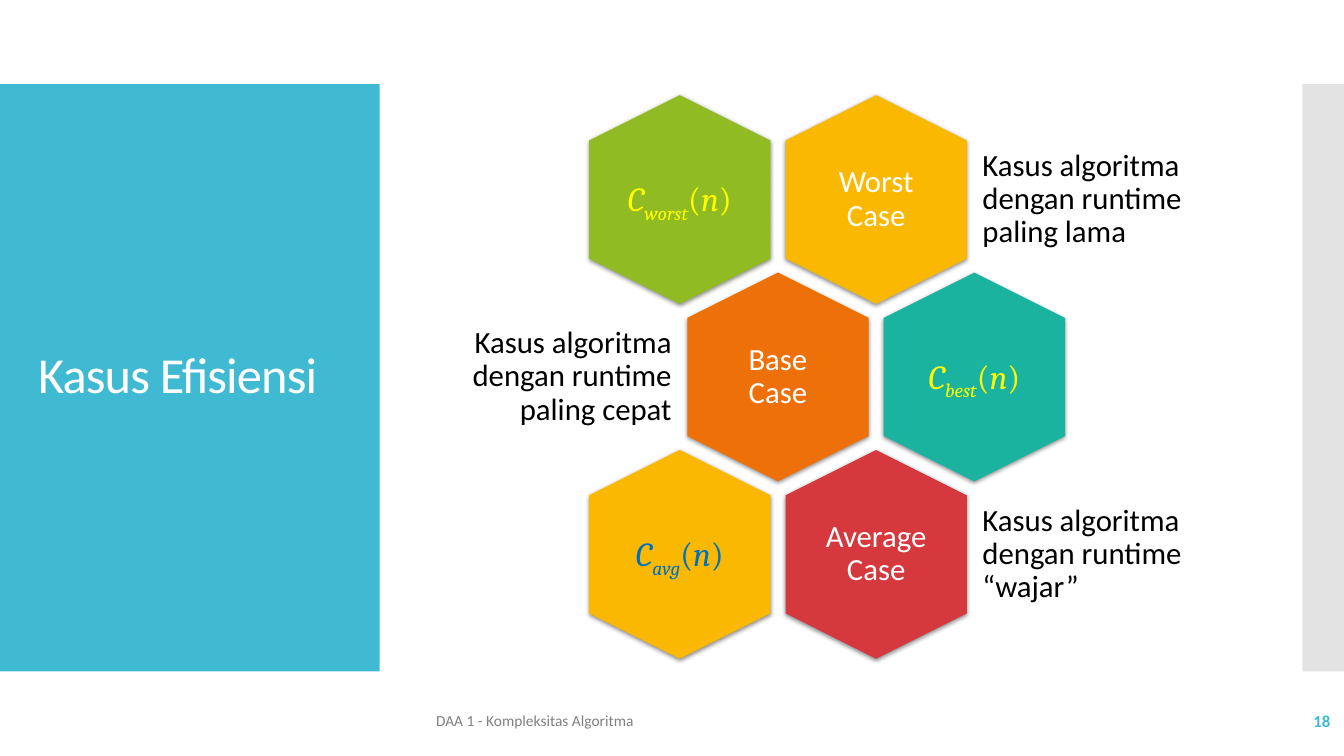
import pptx
import pptx.util
import pptx.dml.color
import pptx.enum.shapes
import pptx.enum.text
from lxml import etree

Cm = pptx.util.Cm
Pt = pptx.util.Pt
ALIGN = pptx.enum.text.PP_ALIGN
SHAPES = pptx.enum.shapes.MSO_SHAPE

COLORS = {
    "white": "FFFFFF", "black": "000000", "cyan": "40BAD2", "silver": "C8C8C8",
    "gray": "808080", "green": "90BB23", "amber": "FAB900", "orange": "EE7008",
    "teal": "1AB39F", "red": "D5393D", "yellow": "FFFF00", "blue": "0070C0",
}
TITLE = "Kasus Efisiensi"
FOOTER = "DAA 1 - Kompleksitas Algoritma"
PAGE_NUMBER = "18"

# Each cell: text, fill, text colour. A formula is given by its subscript.
ROWS = [
    {"formula": ("worst", "green", "yellow"), "case": ("Worst Case", "amber", "white"),
     "description": "Kasus algoritma dengan runtime paling lama", "case_first": False},
    {"formula": ("best", "teal", "yellow"), "case": ("Base Case", "orange", "white"),
     "description": "Kasus algoritma dengan runtime paling cepat", "case_first": True},
    {"formula": ("avg", "amber", "blue"), "case": ("Average Case", "red", "white"),
     "description": "Kasus algoritma dengan runtime “wajar”", "case_first": False},
]

# Lengths in centimetres
HEXAGON_LENGTH, HEXAGON_BREADTH = 5.26, 4.57
FIRST_X, FIRST_Y = 17.13, 5.03
COLUMN_STEP, ROW_STEP = 4.95, 4.47
LABEL_WIDTH, LABEL_HEIGHT = 3.15, 3.63
DESCRIPTION_WIDTH, DESCRIPTION_HEIGHT, DESCRIPTION_GAP = 5.8, 3.15, 2.45
LABEL_INSET = 0.23

DRAWING = "http://schemas.openxmlformats.org/drawingml/2006/main"

presentation = pptx.Presentation()
presentation.slide_width, presentation.slide_height = Cm(33.87), Cm(19.05)
slide = presentation.slides.add_slide(presentation.slide_layouts[6])


def rgb(name):
    return pptx.dml.color.RGBColor.from_string(COLORS[name])


def add_filled(kind, left, top, width, height, color):
    shape = slide.shapes.add_shape(kind, Cm(left), Cm(top), Cm(width), Cm(height))
    shape.shadow.inherit = False
    shape.fill.solid()
    shape.fill.fore_color.rgb = rgb(color)
    shape.line.fill.background()
    return shape


def add_alpha(color_element, percent):
    etree.SubElement(color_element, f"{{{DRAWING}}}alpha", val=str(percent * 1000))


def add_text(left, top, width, height, text, size, color, align=ALIGN.LEFT,
             inset=None, line_spacing=None, font="Calibri"):
    """Add a vertically centred text box and return its paragraph."""
    box = slide.shapes.add_textbox(Cm(left), Cm(top), Cm(width), Cm(height))
    frame = box.text_frame
    frame.word_wrap = True
    frame.vertical_anchor = pptx.enum.text.MSO_ANCHOR.MIDDLE
    if inset is not None:
        frame.margin_left = frame.margin_right = Cm(inset)
        frame.margin_top = frame.margin_bottom = Cm(inset)
    paragraph = frame.paragraphs[0]
    paragraph.alignment = align
    paragraph.line_spacing = line_spacing
    paragraph.font.name = font
    paragraph.font.size = Pt(size)
    paragraph.font.color.rgb = rgb(color)
    if text:
        paragraph.add_run().text = text
    return paragraph


def add_hexagon(center_x, center_y, color):
    """Add a hexagon standing on a corner, with a soft shadow below."""
    hexagon = add_filled(SHAPES.HEXAGON, center_x - HEXAGON_LENGTH / 2,
                         center_y - HEXAGON_BREADTH / 2,
                         HEXAGON_LENGTH, HEXAGON_BREADTH, color)
    hexagon.rotation = 90
    hexagon.adjustments[0] = 0.25
    effects = hexagon._element.spPr.find(f"{{{DRAWING}}}effectLst")
    shadow = etree.SubElement(effects, f"{{{DRAWING}}}outerShdw", blurRad=str(Pt(3.5)),
                              dist=str(Pt(1.1)), dir="5400000", rotWithShape="0")
    add_alpha(etree.SubElement(shadow, f"{{{DRAWING}}}srgbClr", val=COLORS["black"]), 45)


def add_label(center_x, center_y, text, size, color, inset, font="Calibri"):
    return add_text(center_x - LABEL_WIDTH / 2, center_y - LABEL_HEIGHT / 2,
                    LABEL_WIDTH, LABEL_HEIGHT, text, size, color,
                    ALIGN.CENTER, inset, 0.9, font)


def add_formula(center_x, center_y, subscript, color):
    paragraph = add_label(center_x, center_y, "", 24, color, 0, "Cambria")
    for text, italic in (("C", True), (subscript, True), ("(", False), ("n", True), (")", False)):
        run = paragraph.add_run()
        run.text = text
        run.font.italic = italic
        if text == subscript:
            run._r.get_or_add_rPr().set("baseline", "-25000")


def add_description(case_x, center_y, text, on_left):
    if on_left:
        left, align = case_x - DESCRIPTION_GAP - DESCRIPTION_WIDTH, ALIGN.RIGHT
    else:
        left, align = case_x + DESCRIPTION_GAP, ALIGN.LEFT
    add_text(left, center_y - DESCRIPTION_HEIGHT / 2, DESCRIPTION_WIDTH,
             DESCRIPTION_HEIGHT, text, 22, "black", align, LABEL_INSET, 0.9)


add_filled(SHAPES.RECTANGLE, 0, 2.12, 9.57, 14.8, "cyan")
side_bar = add_filled(SHAPES.RECTANGLE, 32.82, 2.12, 1.05, 14.8, "silver")
add_alpha(side_bar._element.spPr.find(f".//{{{DRAWING}}}srgbClr"), 50)
title = add_text(0.71, 3.12, 8.18, 12.78, TITLE, 36, "white", line_spacing=0.9)
title.runs[0]._r.get_or_add_rPr().set("spc", "-60")

for index, row in enumerate(ROWS):
    center_y = FIRST_Y + index * ROW_STEP
    left_x = FIRST_X + (index % 2) * COLUMN_STEP / 2
    right_x = left_x + COLUMN_STEP
    case_x, formula_x = (left_x, right_x) if row["case_first"] else (right_x, left_x)

    case, case_fill, case_color = row["case"]
    add_hexagon(case_x, center_y, case_fill)
    add_label(case_x, center_y, case, 22, case_color, LABEL_INSET)
    add_description(case_x, center_y, row["description"], row["case_first"])

    subscript, formula_fill, formula_color = row["formula"]
    add_hexagon(formula_x, center_y, formula_fill)
    add_formula(formula_x, center_y, subscript, formula_color)

add_text(10.74, 17.65, 16.41, 1.02, FOOTER, 11, "gray")
page_number = add_text(29.54, 17.65, 4.24, 1.02, PAGE_NUMBER, 12, "cyan", ALIGN.RIGHT)
page_number.font.bold = True

presentation.save("out.pptx")
